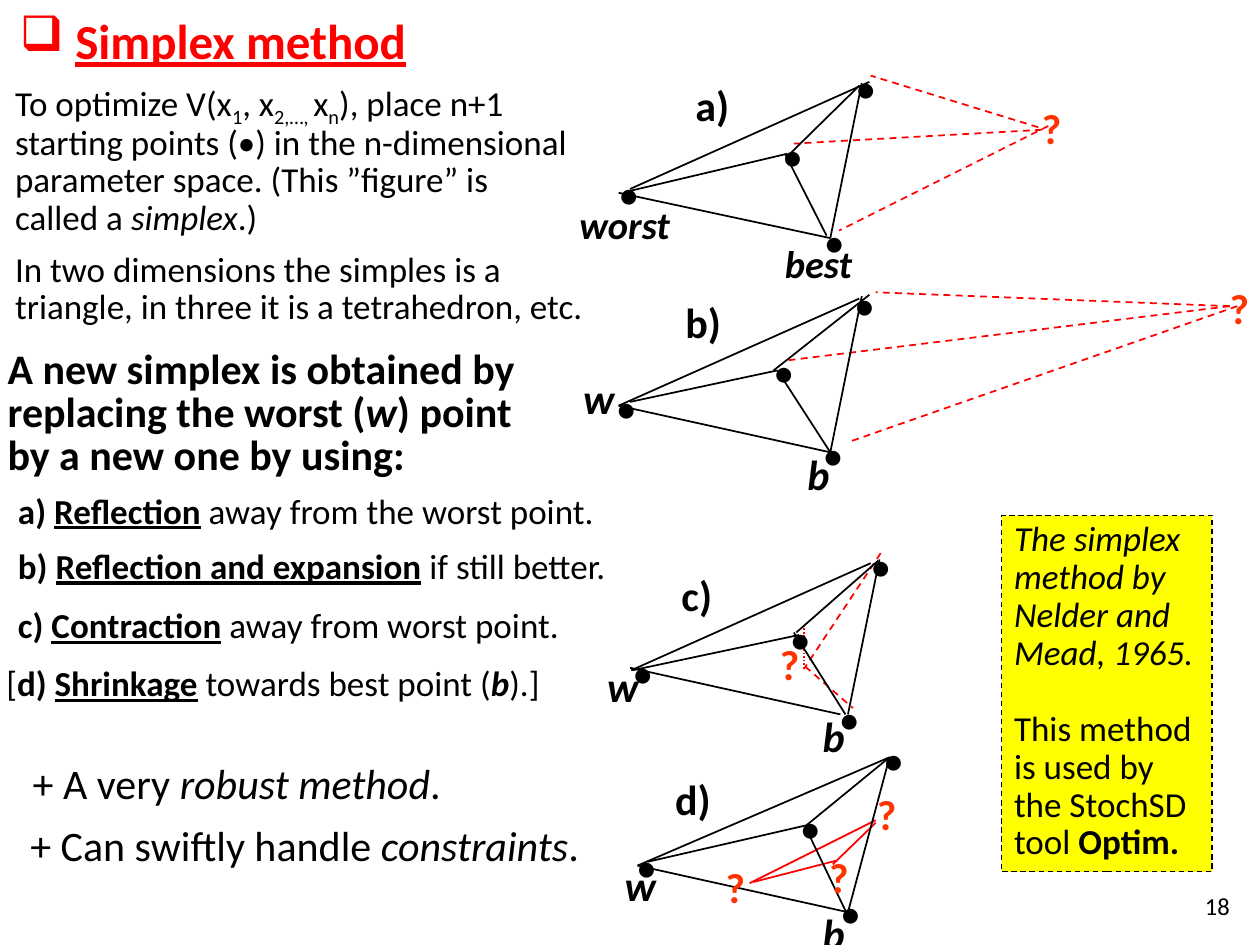
from lxml import etree
from pptx import Presentation
from pptx.dml.color import RGBColor
from pptx.enum.dml import MSO_LINE
from pptx.enum.shapes import MSO_CONNECTOR, MSO_SHAPE
from pptx.enum.text import MSO_ANCHOR, MSO_AUTO_SIZE, PP_ALIGN
from pptx.oxml.ns import qn
from pptx.util import Cm, Pt

STRAIGHT = MSO_CONNECTOR.STRAIGHT
RECTANGLE = MSO_SHAPE.RECTANGLE
DASH, DOTS = MSO_LINE.DASH, MSO_LINE.ROUND_DOT
TOP, MIDDLE = MSO_ANCHOR.TOP, MSO_ANCHOR.MIDDLE
GROW = MSO_AUTO_SIZE.SHAPE_TO_FIT_TEXT
RIGHT = PP_ALIGN.RIGHT

FONT = "Calibri"
COLORS = {"text": "000000", "red": "FF0000", "mark": "FF3300", "note": "FFFF00"}
UNIT = 2.54  # centimetres in one layout unit; the slide is 10 by 7.5 units
WIDE, NARROW, TIGHT = (0.1, 0.05), (0.02, 0.05), (0.02, 0.01)  # text margins

# Left column: position and size, font size, line spacing, runs of (text, style)
# Styles: b bold, i italic, u underlined, s subscript
COLUMN = [
    ((0.1, 0.6, 4.44, 1.3), 20, 0.9, [
        ("To optimize V(x", ""), ("1", "s"), (", x", ""), ("2,…, ", "s"),
        ("x", ""), ("n", "s"),
        ("), place n+1 starting points (•) in the n-dimensional parameter "
         "space. (This ”figure” is called a ", ""),
        ("simplex", "i"), (".)", "")]),
    ((0.1, 1.95, 4.68, 0.71), 20, 0.9, [
        ("In two dimensions the simples is a triangle, "
         "in three it is a tetrahedron, etc.", "")]),
    ((0.04, 2.73, 4.38, 1.13), 24, 0.85, [
        ("A new simplex is obtained by replacing the worst (", "b"),
        ("w", "bi"), (") point by a new one by using:", "b")]),
    ((0.06, 3.87, 4.81, 0.4), 20, 0.9, [
        (" a) ", "b"), ("Reflection", "bu"),
        (" away from the worst point.", "")]),
    ((0.06, 4.31, 5.07, 0.4), 20, 0.9, [
        (" b) ", "b"), ("Reflection and expansion", "bu"),
        (" ", "b"), ("if still better.", "")]),
    ((0.06, 4.78, 4.64, 0.4), 20, 0.9, [
        (" c) ", "b"), ("Contraction", "bu"),
        (" away from worst point.", "")]),
    ((0.03, 5.24, 4.42, 0.4), 20, 0.9, [
        ("[", ""), ("d) ", "b"), ("Shrinkage", "bu"),
        (" towards best point (", ""), ("b", "bi"), (").]", "")]),
    ((0.24, 6.01, 4.4, 0.46), 24, 0.9, [
        ("+ A very ", ""), ("robust method", "i"), (".", "")]),
    ((0.22, 6.5, 4.62, 0.46), 24, 0.9, [
        ("+ Can swiftly handle ", ""), ("constraints", "i"), (".", "")]),
]

# Each simplex: edges, dots, named points, trial lines with dash, question marks
SIMPLEXES = [
    {"label": ("a)", 5.42, 0.58),
     "edges": [(5, 1.5, 6.9, 0.65), (4.91, 1.53, 6.59, 1.89),
               (6.84, 0.66, 6.59, 1.89), (6.23, 1.22, 6.56, 1.87),
               (6.25, 1.24, 6.82, 0.68), (4.98, 1.52, 6.25, 1.22)],
     "dots": [(6.11, 0.98), (6.69, 0.44), (6.44, 1.66), (4.81, 1.28)],
     "names": [("worst", (4.5, 1.55, 1.17, 0.47), 22),
               ("best", (6.13, 1.86, 0.92, 0.47), 22)],
     "trial": [(8.24, 1.01, 6.91, 0.6, DASH), (8.32, 1, 6.66, 1.83, DASH),
               (8.27, 1.03, 6.3, 1.14, DASH)],
     "marks": [(8.25, 0.8)]},
    {"label": ("b)", 5.34, 2.3),
     "edges": [(4.91, 3.22, 6.82, 2.37), (4.91, 3.22, 6.59, 3.59),
               (6.84, 2.35, 6.59, 3.59), (6.17, 2.94, 6.59, 3.59),
               (6.14, 2.94, 6.9, 2.34), (5, 3.19, 6.17, 2.94)],
     "dots": [(6.04, 2.69), (6.43, 3.35), (4.79, 2.98), (6.68, 2.16)],
     "names": [("w", (4.53, 2.91, 0.46, 0.5), 24),
               ("b", (6.31, 3.51, 0.46, 0.5), 24)],
     "trial": [(9.76, 2.43, 6.95, 2.32, DASH), (9.76, 2.43, 6.25, 2.86, DASH),
               (9.82, 2.43, 6.73, 3.51, DASH)],
     "marks": [(9.74, 2.23)]},
    {"label": ("c)", 5.31, 4.47),
     "edges": [(5, 5.3, 6.67, 5.67), (6.32, 5.02, 6.97, 4.45),
               (6.98, 4.44, 6.73, 5.67), (5.02, 5.32, 6.34, 5.04),
               (5.01, 5.32, 6.91, 4.47), (6.3, 5.02, 6.71, 5.67)],
     "dots": [(6.17, 4.81), (6.81, 4.23), (6.56, 5.45), (4.92, 5.08)],
     "names": [("w", (4.72, 5.19, 0.46, 0.5), 24),
               ("b", (6.43, 5.59, 0.46, 0.5), 24)],
     "trial": [(6.38, 4.96, 6.38, 5.3, DOTS), (6.99, 4.39, 6.38, 5.31, DASH),
               (6.39, 5.29, 6.77, 5.62, DASH)],
     "marks": [(6.17, 5.06)]},
    {"label": ("d)", 5.26, 6.09),
     "edges": [(6.4, 6.58, 6.73, 7.27), (5.06, 6.87, 7.06, 6.01),
               (5.06, 6.87, 6.73, 7.24), (7.06, 6.01, 6.73, 7.24),
               (6.4, 6.55, 7.06, 6.01), (5.14, 6.84, 6.4, 6.55)],
     "dots": [(6.91, 5.77), (6.25, 6.31), (4.95, 6.62), (6.57, 6.99)],
     "names": [("w", (4.86, 6.77, 0.46, 0.5), 24),
               ("b", (6.43, 7.15, 0.46, 0.5), 24)],
     "trial": [(5.98, 7, 6.64, 6.83, None), (6.95, 6.51, 5.95, 7.01, None),
               (6.61, 6.86, 6.95, 6.53, None)],
     "marks": [(5.74, 6.83), (6.56, 6.75), (6.94, 6.25)]},
]


def lengths(values):
    return [Cm(value * UNIT) for value in values]


def color(name):
    return RGBColor.from_string(COLORS[name])


def set_frame(shape, margins, anchor=TOP, auto_size=GROW):
    frame = shape.text_frame
    frame.word_wrap = True
    frame.auto_size = auto_size
    frame.vertical_anchor = anchor
    frame.margin_left = frame.margin_right = Cm(margins[0] * UNIT)
    frame.margin_top = frame.margin_bottom = Cm(margins[1] * UNIT)
    return frame


def write(paragraph, runs, size, color_name="text", spacing=None):
    paragraph.font.name = FONT
    paragraph.font.size = Pt(size)
    paragraph.font.color.rgb = color(color_name)
    paragraph.line_spacing = spacing
    for text, style in runs:
        run = paragraph.add_run()
        run.text = text
        run.font.bold = "b" in style
        run.font.italic = "i" in style
        run.font.underline = "u" in style
        if "s" in style:
            run.font._element.set("baseline", "-25000")


def add_text(slide, box, runs, size, color_name="text", spacing=None, margins=WIDE):
    shape = slide.shapes.add_textbox(*lengths(box))
    frame = set_frame(shape, margins)
    write(frame.paragraphs[0], runs, size, color_name, spacing)
    return frame


def add_line(slide, ends, color_name, dash=None):
    connector = slide.shapes.add_connector(STRAIGHT, *lengths(ends))
    connector.line.color.rgb = color(color_name)
    connector.line.width = Pt(1)
    if dash is not None:
        connector.line.dash_style = dash
    etree.SubElement(connector._element.spPr, qn("a:effectLst"))


def add_title(slide):
    shape = slide.shapes.add_textbox(*lengths((0.06, 0.1, 5.06, 0.44)))
    frame = set_frame(shape, WIDE, MIDDLE, MSO_AUTO_SIZE.NONE)
    paragraph = frame.paragraphs[0]
    properties = paragraph._p.get_or_add_pPr()
    indent = Cm(0.44 * UNIT)
    properties.set("marL", str(indent))
    properties.set("indent", str(-indent))
    etree.SubElement(properties, qn("a:buChar")).set("char", "❑")
    write(paragraph, [("Simplex method", "bu")], 28, "red")


def add_note(slide):
    shape = slide.shapes.add_shape(RECTANGLE, *lengths((7.95, 4.09, 1.67, 2.83)))
    shape.shadow.inherit = False
    shape.fill.solid()
    shape.fill.fore_color.rgb = color("note")
    shape.line.color.rgb = color("text")
    shape.line.width = Pt(0.75)
    shape.line.dash_style = DASH
    frame = set_frame(shape, WIDE)
    source, usage = frame.paragraphs[0], frame.add_paragraph()
    write(source, [("The simplex method by Nelder and Mead, 1965.", "i")], 20, spacing=0.9)
    write(usage, [("This method is used by the StochSD tool ", ""), ("Optim.", "b")],
          20, spacing=0.9)
    usage.space_before = Pt(22)
    for paragraph in frame.paragraphs:
        paragraph.alignment = PP_ALIGN.LEFT


def add_simplex(slide, simplex):
    for *ends, dash in simplex["trial"]:
        add_line(slide, ends, "red", dash)
    for ends in simplex["edges"]:
        add_line(slide, ends, "text")
    for left, top in simplex["dots"]:
        add_text(slide, (left, top, 0.31, 0.5), [("•", "")], 24)
    for name, box, size in simplex["names"]:
        add_text(slide, box, [(name, "bi")], size)
    for left, top in simplex["marks"]:
        add_text(slide, (left, top, 0.26, 0.43), [("?", "b")], 24, "mark", margins=TIGHT)
    label, left, top = simplex["label"]
    add_text(slide, (left, top, 0.58, 0.51), [(label, "b")], 24)


def add_page_number(slide):
    frame = add_text(slide, (9.4, 6.98, 0.46, 0.42), [("18", "")], 14)
    frame.auto_size = MSO_AUTO_SIZE.NONE
    frame.word_wrap = False
    frame.vertical_anchor = MIDDLE
    frame.paragraphs[0].alignment = RIGHT


def main():
    presentation = Presentation()
    presentation.slide_width, presentation.slide_height = lengths((10, 7.5))
    slide = presentation.slides.add_slide(presentation.slide_layouts[6])

    # Heading and explanation
    add_title(slide)
    for box, size, spacing, runs in COLUMN:
        add_text(slide, box, runs, size, spacing=spacing, margins=NARROW)

    # The four moves of the simplex
    for simplex in SIMPLEXES:
        add_simplex(slide, simplex)

    # Side note and page number
    add_note(slide)
    add_page_number(slide)
    presentation.save("out.pptx")


if __name__ == "__main__":
    main()
